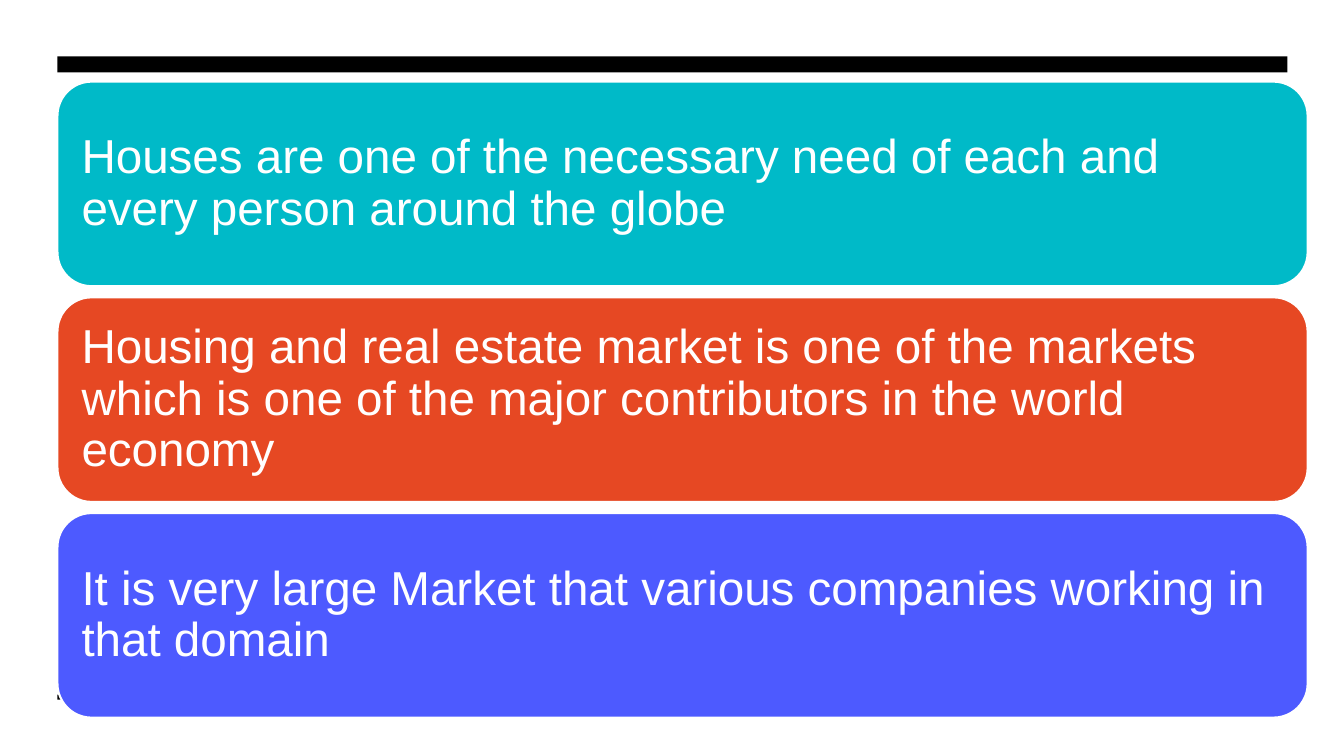
import pptx
import pptx.dml.color
import pptx.enum.shapes
import pptx.enum.text
import pptx.util

Inches = pptx.util.Inches
RGBColor = pptx.dml.color.RGBColor
Shape = pptx.enum.shapes.MSO_SHAPE

WHITE = RGBColor(0xFF, 0xFF, 0xFF)
BLACK = RGBColor(0x00, 0x00, 0x00)
TEAL = RGBColor(0x00, 0xBA, 0xC8)
ORANGE = RGBColor(0xE6, 0x48, 0x23)
BLUE = RGBColor(0x4D, 0x5A, 0xFF)

LEFT = 0.57
CARD_TOP = 0.81
CARD_STEP = 2.14
CARDS = [
    (TEAL, "Houses are one of the necessary need of each and every person around the globe"),
    (ORANGE, "Housing and real estate market is one of the markets which is one of "
             "the major contributors in the world economy"),
    (BLUE, "It is very large Market that various companies working in that domain"),
]


class SlideBuilder:
    font = "Arial"
    size = pptx.util.Pt(34)
    inset = Inches(0.14)

    def __init__(self, slide):
        self.slide = slide

    def background(self, color):
        fill = self.slide.background.fill
        fill.solid()
        fill.fore_color.rgb = color

    def block(self, kind, left, top, width, height, color):
        box = self.slide.shapes.add_shape(
            kind, Inches(left), Inches(top), Inches(width), Inches(height))
        box.shadow.inherit = False
        box.fill.solid()
        box.fill.fore_color.rgb = color
        box.line.fill.background()
        return box

    def bar(self, top, height):
        self.block(Shape.RECTANGLE, LEFT, top, 12.2, height, BLACK)

    def card(self, top, color, text):
        box = self.block(Shape.ROUNDED_RECTANGLE, LEFT, top, 12.4, 2.03, color)
        box.line.color.rgb = WHITE
        box.line.width = pptx.util.Pt(1.5)
        frame = box.text_frame
        frame.word_wrap = True
        frame.vertical_anchor = pptx.enum.text.MSO_ANCHOR.MIDDLE
        frame.margin_left = frame.margin_right = self.inset
        frame.margin_top = frame.margin_bottom = self.inset
        para = frame.paragraphs[0]
        para.alignment = pptx.enum.text.PP_ALIGN.LEFT
        para.line_spacing = 0.9
        span = para.add_run()
        span.text = text
        span.font.name = self.font
        span.font.size = self.size
        span.font.color.rgb = WHITE


def main():
    deck = pptx.Presentation()
    deck.slide_width = Inches(13.33)
    deck.slide_height = Inches(7.5)
    page = SlideBuilder(deck.slides.add_slide(deck.slide_layouts[6]))
    page.background(WHITE)
    page.bar(0.56, 0.16)
    page.bar(6.89, 0.05)
    for index, (color, text) in enumerate(CARDS):
        page.card(CARD_TOP + index * CARD_STEP, color, text)
    deck.save("out.pptx")


if __name__ == "__main__":
    main()
